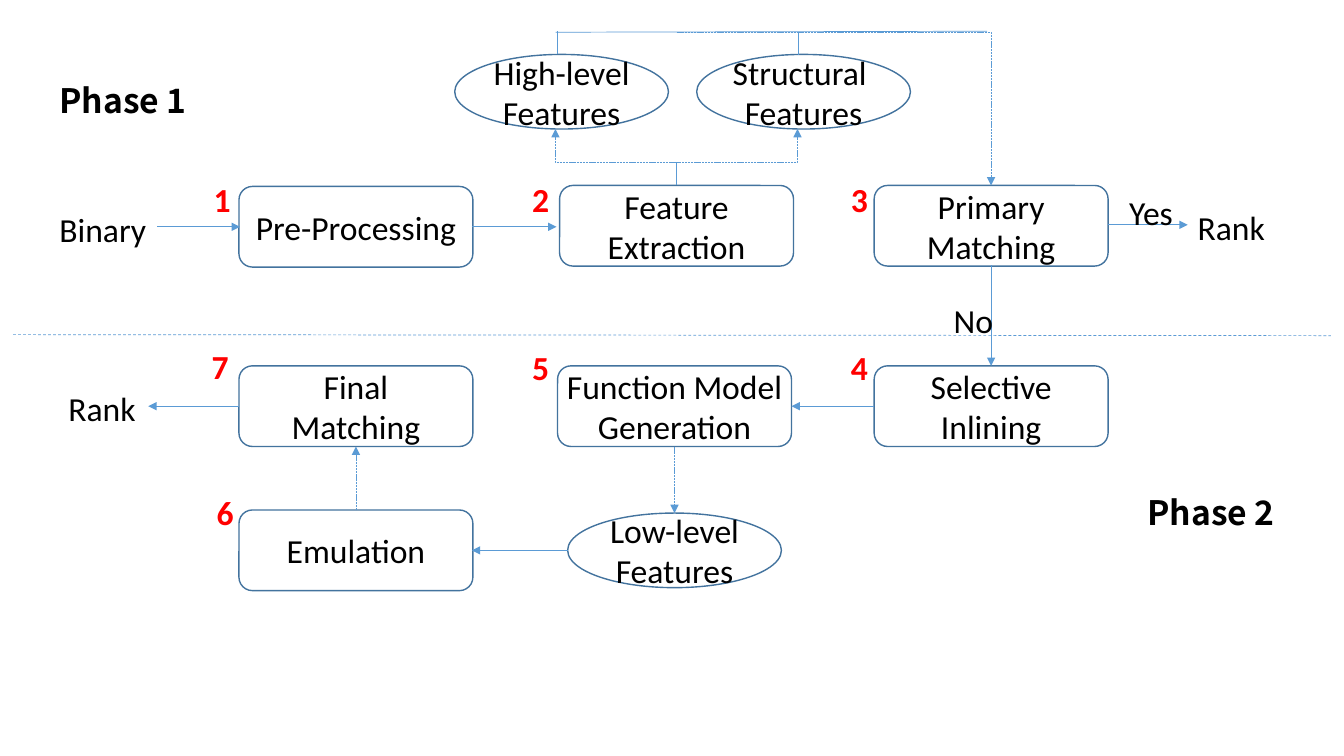
from lxml import etree
from pptx import Presentation
from pptx.dml.color import RGBColor
from pptx.enum import dml, shapes, text
from pptx.oxml.ns import qn
from pptx.util import Inches, Pt

BLACK = RGBColor(0x00, 0x00, 0x00)
WHITE = RGBColor(0xFF, 0xFF, 0xFF)
RED = RGBColor(0xFF, 0x00, 0x00)
OUTLINE = RGBColor(0x43, 0x73, 0x9E)
FLOW = RGBColor(0x5B, 0x9B, 0xD5)
DOTTED = dml.MSO_LINE.SQUARE_DOT
DASHED = dml.MSO_LINE.DASH


class FlowSlide:
    """Holds the style and the current slide."""

    font = {"name": "Calibri", "size": Pt(24), "bold": False}

    def __init__(self, slide):
        self.slide = slide

    def set_words(self, shape, words, frame_format, alignment, color=BLACK, **font):
        frame = shape.text_frame
        for name, value in frame_format.items():
            setattr(frame, name, value)
        frame.text = words
        for paragraph in frame.paragraphs:
            paragraph.alignment = alignment
            for run in paragraph.runs:
                for name, value in {**self.font, **font}.items():
                    setattr(run.font, name, value)
                run.font.color.rgb = color

    def node(self, kind, left, top, width, height, words):
        shape = self.slide.shapes.add_shape(
            kind, Inches(left), Inches(top), Inches(width), Inches(height))
        shape.shadow.inherit = False
        shape.line.color.rgb = OUTLINE
        shape.line.width = Pt(1)
        frame_format = {"margin_left": 0, "margin_right": 0, "word_wrap": True,
                        "vertical_anchor": text.MSO_ANCHOR.MIDDLE}
        self.set_words(shape, words, frame_format, text.PP_ALIGN.CENTER)
        return shape

    def step(self, left, top, words):
        shape = self.node(shapes.MSO_SHAPE.ROUNDED_RECTANGLE,
                          left, top, 2.32, 0.8, words)
        shape.fill.solid()
        shape.fill.fore_color.rgb = WHITE

    def features(self, left, top, words):
        shape = self.node(shapes.MSO_SHAPE.OVAL, left, top, 2.12, 0.74, words)
        shape.fill.background()

    def label(self, left, top, width, words, wrap=False, **style):
        box = self.slide.shapes.add_textbox(
            Inches(left), Inches(top), Inches(width), Inches(0.5))
        frame_format = {"word_wrap": wrap,
                        "auto_size": text.MSO_AUTO_SIZE.SHAPE_TO_FIT_TEXT}
        self.set_words(box, words, frame_format, text.PP_ALIGN.LEFT, **style)

    def line(self, start, end, arrow=True, dash=None, bent=False):
        kind = shapes.MSO_CONNECTOR.ELBOW if bent else shapes.MSO_CONNECTOR.STRAIGHT
        connector = self.slide.shapes.add_connector(
            kind, *(Inches(length) for length in start + end))
        connector.line.color.rgb = FLOW
        connector.line.width = Pt(0.5)
        if dash:
            connector.line.dash_style = dash
        properties = connector._element.spPr
        if bent:  # a single corner: across, then up or down
            properties.find(qn("a:prstGeom")).set("prst", "bentConnector2")
        if arrow:
            etree.SubElement(properties.find(qn("a:ln")), qn("a:tailEnd"), type="triangle")
        etree.SubElement(properties, qn("a:effectLst"))


presentation = Presentation()
presentation.slide_width = Inches(13.33)
presentation.slide_height = Inches(7.5)
flow = FlowSlide(presentation.slides.add_slide(presentation.slide_layouts[6]))

# Steps and feature sets
for left, top, words in [
    (2.37, 1.85, "Pre-Processing"),
    (5.55, 1.84, "Feature\nExtraction"),
    (8.67, 1.84, "Primary\nMatching"),
    (8.67, 3.63, "Selective\nInlining"),
    (5.53, 3.63, "Function Model Generation"),
    (2.37, 5.06, "Emulation"),
    (2.37, 3.63, "Final\nMatching"),
]:
    flow.step(left, top, words)
for left, top, words in [
    (4.51, 0.54, "High-level Features"),
    (6.91, 0.54, "Structural \nFeatures"),
    (5.63, 5.09, "Low-level Features"),
]:
    flow.features(left, top, words)

# Solid arrows between steps
for start, end in [
    ((1.56, 2.25), (2.38, 2.25)),
    ((4.68, 2.25), (5.52, 2.25)),
    ((10.99, 2.23), (11.78, 2.23)),
    ((9.83, 2.63), (9.83, 3.63)),
    ((8.67, 4.03), (7.85, 4.03)),
    ((5.63, 5.46), (4.68, 5.46)),
    ((2.37, 4.03), (1.47, 4.03)),
]:
    flow.line(start, end)

# Dotted arrows to and from the feature sets
flow.line((6.69, 4.43), (6.69, 5.09), dash=DOTTED)
flow.line((3.53, 5.06), (3.53, 4.43), dash=DOTTED)
for start, end in [
    ((6.71, 1.61), (7.91, 1.28)),
    ((6.71, 1.61), (5.51, 1.28)),
    ((6.71, 0.32), (9.83, 1.84)),
]:
    flow.line(start, end, dash=DOTTED, bent=True)

# Plain joining lines
for start, end in [
    ((6.71, 1.61), (6.71, 1.84)),
    ((5.53, 0.31), (5.53, 0.54)),
    ((7.92, 0.32), (7.92, 0.55)),
    ((5.51, 0.32), (9.79, 0.31)),
]:
    flow.line(start, end, arrow=False)

# Divider between the phases
flow.line((0.13, 3.32), (13.2, 3.33), arrow=False, dash=DASHED)

# Inputs, outcomes and decisions
for left, top, width, words in [
    (0.49, 2.02, 1.07, "Binary"),
    (11.78, 2.0, 0.88, "Rank"),
    (0.58, 3.8, 0.88, "Rank"),
    (11.1, 1.85, 0.64, "Yes"),
    (9.36, 2.93, 0.6, "No"),
]:
    flow.label(left, top, width, words)

# Step numbers
number_places = [(2.02, 1.73), (5.18, 1.73), (8.34, 1.73), (8.34, 3.39),
                 (5.18, 3.39), (2.05, 4.83), (2.0, 3.38)]
for number, (left, top) in enumerate(number_places, 1):
    flow.label(left, top, 0.37, str(number), color=RED, bold=True)

# Phase names
for left, top, words in [(0.49, 0.74, "Phase 1"), (11.28, 4.83, "Phase 2")]:
    flow.label(left, top, 1.61, words, wrap=True, name="Noto Sans CJK SC", bold=True)

presentation.save("out.pptx")
